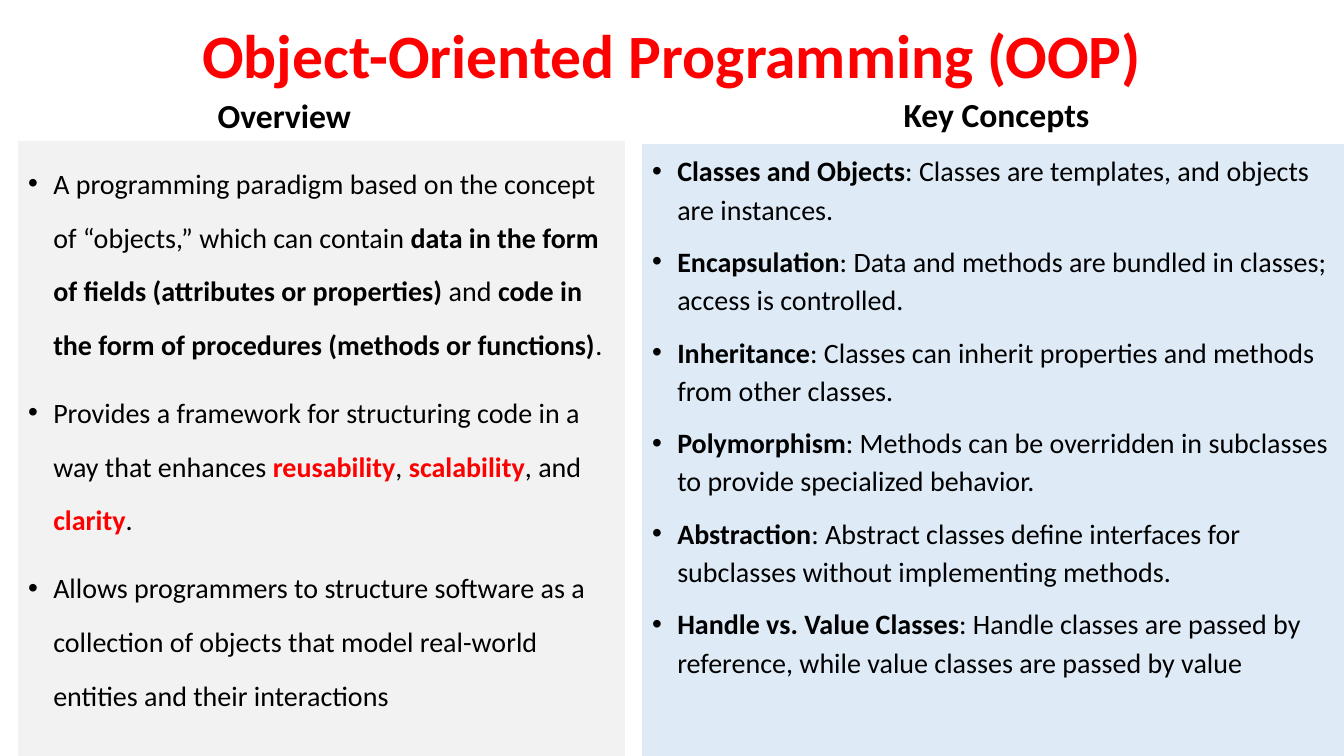
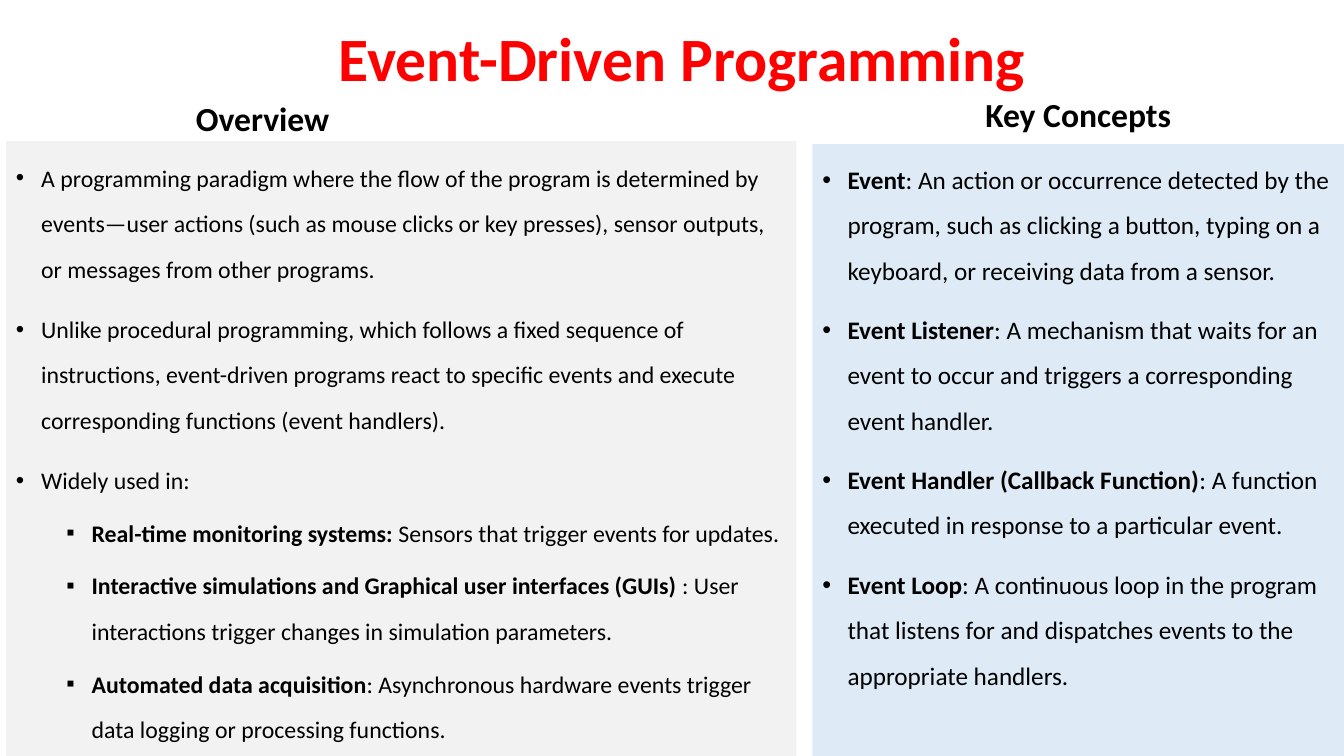
from dataclasses import dataclass

from lxml.etree import SubElement
from pptx import Presentation
from pptx.dml.color import RGBColor
from pptx.enum.shapes import MSO_SHAPE as Preset
from pptx.enum.text import MSO_ANCHOR as Anchor, MSO_AUTO_SIZE as AutoSize, PP_ALIGN as Align
from pptx.oxml.ns import qn
from pptx.util import Inches, Pt


@dataclass(frozen=True)
class Theme:
    """Colours, type sizes and spacing shared by the slides."""
    font: str = "Calibri"
    accent: str = "FF0000"
    ink: str = "000000"
    overview_fill: str = "F2F2F2"
    concepts_fill: str = "DEEBF7"
    title_size: int = 44
    heading_size: int = 24
    tight: float = 0.9
    indent: float = 0.25
    level_step: float = 0.5
    bullets: tuple = ("•", "▪")
    gaps: tuple = (10, 5)


@dataclass(frozen=True)
class Box:
    """A region in hundredths of the slide's width and height."""
    left: float
    top: float
    width: float
    height: float

    def place(self):
        """Return left, top, width and height as lengths."""
        return (int(self.left * COLUMN), int(self.top * ROW),
                int(self.width * COLUMN), int(self.height * ROW))


@dataclass(frozen=True)
class Point:
    """A bullet whose *starred* parts are bold, and red after a tilde."""
    text: str
    level: int = 0


@dataclass(frozen=True)
class Section:
    """A heading above a filled panel of points."""
    heading: str
    heading_box: Box
    panel_box: Box
    fill: str
    size: int
    spacing: float
    points: tuple


THEME = Theme()
SLIDE_WIDTH, SLIDE_HEIGHT = Inches(13.33), Inches(7.5)
COLUMN, ROW = SLIDE_WIDTH / 100, SLIDE_HEIGHT / 100
TITLE_WIDTH, TITLE_HEIGHT, HEADING_HEIGHT = 86.25, 14.67, 7.73


def style_run(run, size, color=THEME.ink, bold=False):
    """Apply the theme's font with a size, colour and weight."""
    run.font.name = THEME.font
    run.font.size = Pt(size)
    run.font.bold = bold
    run.font.color.rgb = RGBColor.from_string(color)


def set_line(frame, text, size, color, anchor):
    """Fill a frame with one centred bold line."""
    frame.word_wrap = True
    frame.auto_size = AutoSize.NONE
    frame.vertical_anchor = anchor
    frame.text = text
    line = frame.paragraphs[0]
    line.alignment = Align.CENTER
    line.line_spacing = THEME.tight
    style_run(line.runs[0], size, color, bold=True)


def add_point(paragraph, point, size, spacing):
    """Write one bulleted point into a paragraph."""
    paragraph.level = point.level
    paragraph.alignment = Align.LEFT
    paragraph.line_spacing = spacing
    paragraph.space_before = Pt(THEME.gaps[point.level])
    properties = paragraph._p.get_or_add_pPr()
    margin = THEME.indent + point.level * THEME.level_step
    properties.set("marL", str(Inches(margin)))
    properties.set("indent", str(-Inches(THEME.indent)))
    SubElement(properties, qn("a:buFont"), typeface="Arial")
    SubElement(properties, qn("a:buChar"), char=THEME.bullets[point.level])
    for index, part in enumerate(point.text.split("*")):
        if part:
            run = paragraph.add_run()
            run.text = part.lstrip("~")
            color = THEME.accent if part.startswith("~") else THEME.ink
            style_run(run, size, color, bold=index % 2 == 1)


def add_section(slide, section):
    """Place a section's heading and its panel."""
    heading = slide.shapes.add_textbox(*section.heading_box.place())
    set_line(heading.text_frame, section.heading, THEME.heading_size, THEME.ink, Anchor.BOTTOM)
    panel = slide.shapes.add_shape(Preset.RECTANGLE, *section.panel_box.place())
    panel.shadow.inherit = False
    panel.fill.solid()
    panel.fill.fore_color.rgb = RGBColor.from_string(section.fill)
    panel.line.fill.background()
    frame = panel.text_frame
    frame.word_wrap = True
    frame.vertical_anchor = Anchor.TOP
    for index, point in enumerate(section.points):
        paragraph = frame.add_paragraph() if index else frame.paragraphs[0]
        add_point(paragraph, point, section.size, section.spacing)


def overview(heading_span, heading_base, panel_span, size, points):
    """Describe the overview section from its column spans."""
    return Section("Overview",
                   Box(heading_span[0], heading_base - HEADING_HEIGHT, heading_span[1], HEADING_HEIGHT),
                   Box(panel_span[0], 18.67, panel_span[1], 81.33),
                   THEME.overview_fill, size, 1.6, points)


def key_concepts(heading_span, panel_span, size, spacing, points):
    """Describe the key concepts section from its column spans."""
    return Section("Key Concepts",
                   Box(heading_span[0], 10.8, heading_span[1], HEADING_HEIGHT),
                   Box(panel_span[0], 19.07, panel_span[1], 80.93),
                   THEME.concepts_fill, size, spacing, points)


def add_paradigm_slide(deck, title, title_corner, sections):
    """Add a titled slide comparing sections side by side."""
    slide = deck.slides.add_slide(deck.slide_layouts[5])
    heading = slide.shapes.title
    box = Box(*title_corner, TITLE_WIDTH, TITLE_HEIGHT)
    heading.left, heading.top, heading.width, heading.height = box.place()
    set_line(heading.text_frame, title, THEME.title_size, THEME.accent, Anchor.MIDDLE)
    for section in sections:
        add_section(slide, section)


OBJECT_ORIENTED = (
    overview((0, 42.3), 18.67, (1.35, 45.15), 20, (
        Point("A programming paradigm based on the concept of “objects,” which can contain "
              "*data in the form of fields (attributes or properties)* and "
              "*code in the form of procedures (methods or functions)*."),
        Point("Provides a framework for structuring code in a way that enhances "
              "*~reusability*, *~scalability*, and *~clarity*."),
        Point("Allows programmers to structure software as a collection of objects "
              "that model real-world entities and their interactions"),
    )),
    key_concepts((52.88, 42.53), (47.78, 52.22), 20, 1.14, (
        Point("*Classes and Objects*: Classes are templates, and objects are instances."),
        Point("*Encapsulation*: Data and methods are bundled in classes; access is controlled."),
        Point("*Inheritance*: Classes can inherit properties and methods from other classes."),
        Point("*Polymorphism*: Methods can be overridden in subclasses "
              "to provide specialized behavior."),
        Point("*Abstraction*: Abstract classes define interfaces for subclasses "
              "without implementing methods."),
        Point("*Handle vs. Value Classes*: Handle classes are passed by reference, "
              "while value classes are passed by value"),
    )),
)

EVENT_DRIVEN = (
    overview((0, 39.08), 19.07, (0.45, 58.8), 17, (
        Point("A programming paradigm where the flow of the program is determined by "
              "events—user actions (such as mouse clicks or key presses), sensor outputs, "
              "or messages from other programs."),
        Point("Unlike procedural programming, which follows a fixed sequence of instructions, "
              "event-driven programs react to specific events and execute "
              "corresponding functions (event handlers)."),
        Point("Widely used in:"),
        Point("*Real-time monitoring systems: *Sensors that trigger events for updates.", 1),
        Point("*Interactive simulations and Graphical user interfaces (GUIs) *: "
              "User interactions trigger changes in simulation parameters.", 1),
        Point("*Automated data acquisition*: Asynchronous hardware events trigger "
              "data logging or processing functions.", 1),
    )),
    key_concepts((60.45, 39.55), (60.45, 39.55), 18, 1.5, (
        Point("*Event*: An action or occurrence detected by the program, such as clicking "
              "a button, typing on a keyboard, or receiving data from a sensor."),
        Point("*Event Listener*: A mechanism that waits for an event to occur "
              "and triggers a corresponding event handler."),
        Point("*Event Handler (Callback Function)*: A function executed "
              "in response to a particular event."),
        Point("*Event Loop*: A continuous loop in the program that listens for "
              "and dispatches events to the appropriate handlers."),
    )),
)


def main():
    """Build and save the deck."""
    deck = Presentation()
    deck.slide_width, deck.slide_height = SLIDE_WIDTH, SLIDE_HEIGHT
    add_paradigm_slide(deck, "Object-Oriented Programming (OOP)", (6.9, 0.4), OBJECT_ORIENTED)
    add_paradigm_slide(deck, "Event-Driven Programming", (7.65, 0.8), EVENT_DRIVEN)
    deck.save("out.pptx")


if __name__ == "__main__":
    main()
